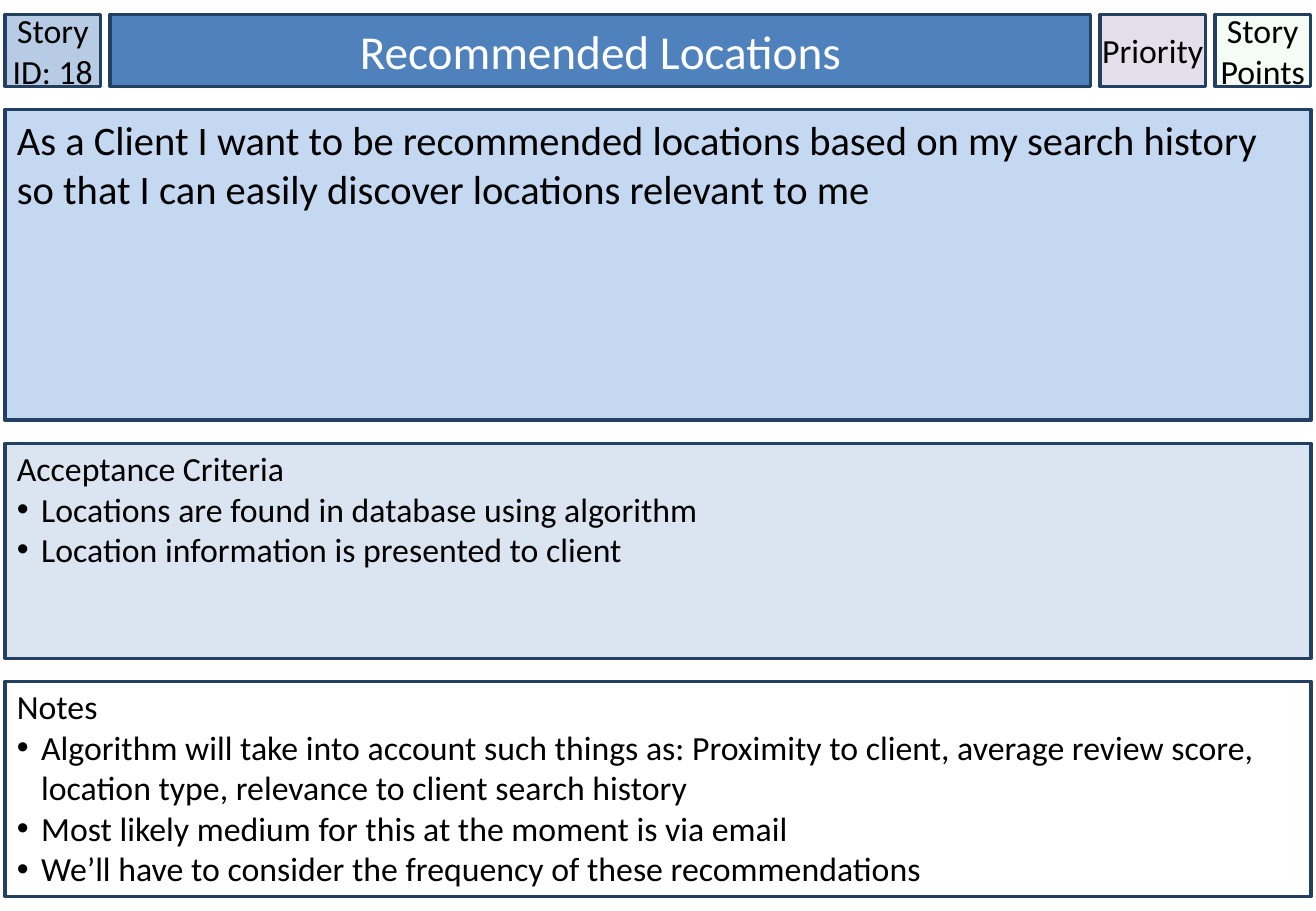
from lxml.etree import SubElement
from pptx import Presentation
from pptx.dml.color import RGBColor
from pptx.enum.shapes import MSO_SHAPE as Shape
from pptx.enum.text import MSO_ANCHOR as Anchor, PP_ALIGN as Align
from pptx.oxml.ns import qn
from pptx.util import Inches, Pt

NAVY = RGBColor(0x24, 0x40, 0x61)
BLUE = RGBColor(0x4F, 0x81, 0xBD)
STEEL = RGBColor(0xB7, 0xCC, 0xE4)
SKY = RGBColor(0xC5, 0xD8, 0xF1)
MIST = RGBColor(0xDA, 0xE5, 0xF1)
LILAC = RGBColor(0xE5, 0xDF, 0xEC)
MINT = RGBColor(0xCC, 0xF0, 0xCD)
WHITE = RGBColor(0xFF, 0xFF, 0xFF)
BLACK = RGBColor(0x00, 0x00, 0x00)

# Shares of the slide's size, in percent
LEFT, TOP = 0.37, 1.6
FULL_WIDTH = 99.26
COLUMN_GAP, ROW_GAP = 0.7, 2.53
HEADER_HEIGHT = 7.87


class StoryCard:
    font = "Calibri"
    border = Pt(2)
    indent = Inches(0.2)

    def __init__(self, deck):
        self.width, self.height = deck.slide_width, deck.slide_height
        self.slide = deck.slides.add_slide(deck.slide_layouts[6])

    def box(self, area, fill, lines, size=20, color=BLACK, side=0.1, top=0.05):
        """Bordered text box; area is left, top, width, height in percent."""
        x, y, w, h = area
        shape = self.slide.shapes.add_shape(
            Shape.RECTANGLE,
            round(self.width * x / 100), round(self.height * y / 100),
            round(self.width * w / 100), round(self.height * h / 100))
        shape.shadow.inherit = False
        shape.fill.solid()
        shape.fill.fore_color.rgb = fill
        shape.line.color.rgb = NAVY
        shape.line.width = self.border

        frame = shape.text_frame
        frame.word_wrap = True
        frame.vertical_anchor = Anchor.TOP
        frame.margin_left = frame.margin_right = Inches(side)
        frame.margin_top, frame.margin_bottom = Inches(top), Inches(0.05)
        frame.text = "\n".join(lines)
        for paragraph in frame.paragraphs:
            paragraph.alignment = Align.LEFT
            for run in paragraph.runs:
                run.font.name, run.font.size = self.font, Pt(size)
                run.font.color.rgb = color
        return shape

    def header(self, area, fill, label, **style):
        shape = self.box(area, fill, [label], **style)
        shape.text_frame.vertical_anchor = Anchor.MIDDLE
        shape.text_frame.paragraphs[0].alignment = Align.CENTER
        return shape

    def bullet_panel(self, area, fill, heading, points):
        panel = self.box(area, fill, [heading, *points], top=0.04)
        for paragraph in panel.text_frame.paragraphs[1:]:
            properties = paragraph._p.get_or_add_pPr()
            properties.set("marL", str(self.indent))
            properties.set("indent", str(-self.indent))
            SubElement(properties, qn("a:buFont")).set("typeface", "Arial")
            SubElement(properties, qn("a:buChar")).set("char", "•")

    def fade(self, shape, opacity):
        color = shape.fill._xPr.find(qn("a:solidFill"))[0]
        SubElement(color, qn("a:alpha")).set("val", str(opacity * 1000))


def main():
    deck = Presentation()
    deck.slide_width, deck.slide_height = Inches(10.83), Inches(7.5)
    card = StoryCard(deck)

    tag_style = {"side": 0}
    title_style = {"size": 28, "color": WHITE}
    headers = [
        ("Story ID: 18", 7.29, STEEL, tag_style),
        ("Recommended Locations", 74.52, BLUE, title_style),
        ("Priority", 8.03, LILAC, tag_style),
        ("Story Points", 7.29, MINT, tag_style),
    ]
    x = LEFT
    for label, width, fill, style in headers:
        header = card.header((x, TOP, width, HEADER_HEIGHT), fill, label, **style)
        if fill == MINT:
            card.fade(header, 20)
        x += width + COLUMN_GAP

    story_top, story_height = TOP + HEADER_HEIGHT + ROW_GAP, 34.13
    card.box((LEFT, story_top, FULL_WIDTH, story_height), SKY, [
        "As a Client I want to be recommended locations based on my search "
        "history so that I can easily discover locations relevant to me"], size=24)

    panels = [
        ("Acceptance Criteria", MIST, [
            "Locations are found in database using algorithm",
            "Location information is presented to client"]),
        ("Notes", WHITE, [
            "Algorithm will take into account such things as: Proximity to "
            "client, average review score, location type, relevance to client "
            "search history",
            "Most likely medium for this at the moment is via email",
            "We’ll have to consider the frequency of these recommendations"]),
    ]
    y, panel_height = story_top + story_height + ROW_GAP, 23.6
    for heading, fill, points in panels:
        card.bullet_panel((LEFT, y, FULL_WIDTH, panel_height), fill, heading, points)
        y += panel_height + ROW_GAP

    deck.save("out.pptx")


if __name__ == "__main__":
    main()
